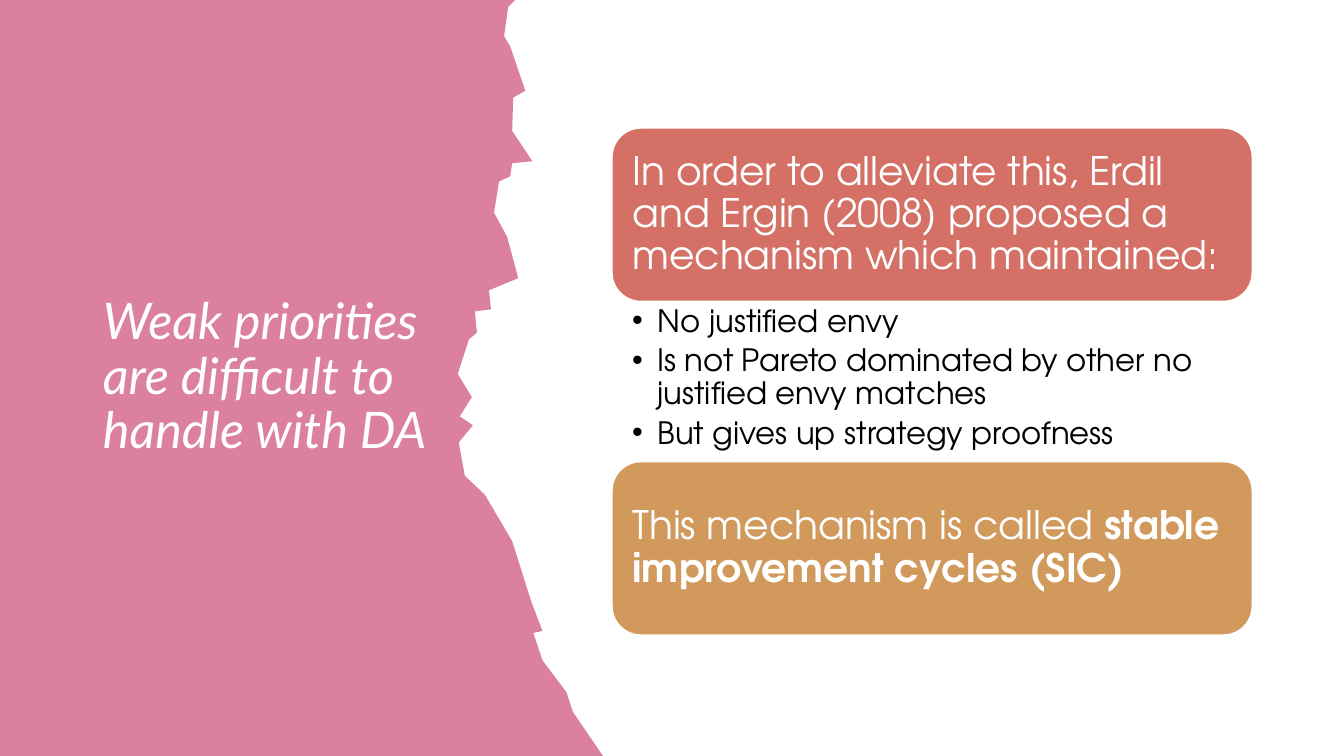
from pptx import Presentation
from pptx.dml.color import RGBColor
from pptx.enum.shapes import MSO_SHAPE as Shape
from pptx.enum.text import MSO_ANCHOR as Anchor, MSO_AUTO_SIZE as Fit, PP_ALIGN as Align
from pptx.util import Pt

PX = 9144  # 100 px to the inch
WHITE = RGBColor(0xFF, 0xFF, 0xFF)
BLACK = RGBColor(0, 0, 0)
PINK = RGBColor(0xDC, 0x81, 0x9D)
RED = RGBColor(0xD4, 0x70, 0x65)
OCHRE = RGBColor(0xD1, 0x99, 0x5B)
SERIES = "TeX Gyre Adventor"

# Corners of the torn edge from top to bottom
EDGE = [
    (511, 0), (504, 7), (500, 36), (506, 46), (521, 90), (509, 97),
    (508, 130), (528, 160), (508, 162), (506, 175), (495, 180), (490, 211),
    (503, 235), (514, 276), (485, 288), (487, 307), (471, 309), (473, 330),
    (465, 337), (454, 371), (468, 394), (456, 413), (469, 422), (455, 439),
    (461, 472), (481, 491), (508, 537), (527, 597), (538, 626), (529, 628),
    (538, 655), (562, 687), (568, 706), (598, 750),
]


def place(shape, left, top, width, height):
    shape.left, shape.top = left * PX, top * PX
    shape.width, shape.height = width * PX, height * PX


def write(par, text, size, font=SERIES, color=WHITE, bold=False, italic=False, after=0):
    """Add a run to the paragraph and set the paragraph's spacing."""
    par.alignment = Align.LEFT
    par.line_spacing = 0.9
    par.space_before, par.space_after = Pt(0), Pt(after)
    run = par.add_run()
    run.text = text
    run.font.size, run.font.name = Pt(size), font
    run.font.bold, run.font.italic = bold, italic
    run.font.color.rgb = color


deck = Presentation()
deck.slide_width, deck.slide_height = 1333 * PX, 750 * PX
slide = deck.slides.add_slide(deck.slide_layouts[1])
shapes = slide.shapes
title, body = slide.placeholders

# Torn pink panel
outline = shapes.build_freeform(0, 0, scale=PX)
outline.add_line_segments(EDGE + [(0, 750)])
panel = outline.convert_to_shape()
panel.shadow.inherit = False
panel.fill.solid()
panel.fill.fore_color.rgb = PINK
panel.line.fill.background()
shapes._spTree.insert(2, panel._element)  # behind the title

place(title, 92, 78, 350, 594)
title.text_frame.auto_size = Fit.NONE
title.text_frame.vertical_anchor = Anchor.MIDDLE
write(title.text_frame.paragraphs[0], "Weak priorities are difficult to handle with DA",
      36, font="Lato", italic=True)

# Rounded boxes above and below the list
boxes = [
    (127, RED, [("In order to alleviate this, Erdil and Ergin (2008) proposed "
                 "a mechanism which maintained:", False)]),
    (458, OCHRE, [("This mechanism is called ", False),
                  ("stable improvement cycles (SIC)", True)]),
]
for top, color, runs in boxes:
    box = shapes.add_shape(Shape.ROUNDED_RECTANGLE, 607 * PX, top * PX, 635 * PX, 172 * PX)
    box.shadow.inherit = False
    box.fill.solid()
    box.fill.fore_color.rgb = color
    box.line.color.rgb, box.line.width = WHITE, Pt(1)
    frame = box.text_frame
    frame.word_wrap = True
    frame.vertical_anchor = Anchor.MIDDLE
    frame.margin_left = frame.margin_right = 12 * PX
    frame.margin_top = frame.margin_bottom = 12 * PX
    for text, bold in runs:
        write(frame.paragraphs[0], text, 28, bold=bold)

place(body, 607, 299, 635, 158)
frame = body.text_frame
frame.auto_size = Fit.NONE
frame.vertical_anchor = Anchor.TOP
frame.margin_left, frame.margin_right = 20 * PX, 22 * PX
frame.margin_top = frame.margin_bottom = 4 * PX
points = [
    "No justified envy",
    "Is not Pareto dominated by other no justified envy matches",
    "But gives up strategy proofness",
]
for index, text in enumerate(points):
    par = frame.add_paragraph() if index else frame.paragraphs[0]
    write(par, text, 22, color=BLACK, after=4.4)
    props = par._p.get_or_add_pPr()
    props.set("marL", str(25 * PX))
    props.set("indent", str(-25 * PX))

deck.save("out.pptx")
